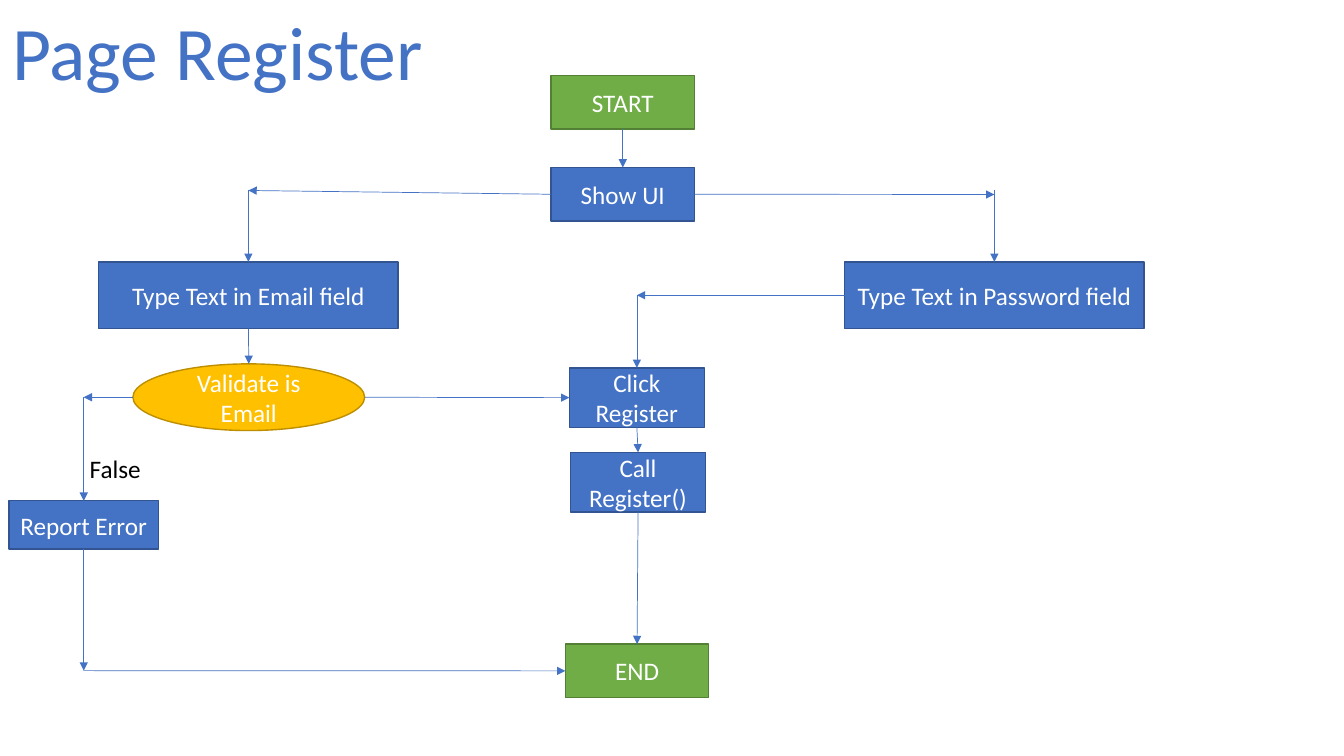
from dataclasses import dataclass
from enum import IntEnum
from typing import NamedTuple

from pptx import Presentation, util as u
from pptx.dml import color
from pptx.enum import shapes, text
from pptx.oxml import ns
from lxml import etree


@dataclass(frozen=True)
class Theme:
    font: str = "Calibri"
    title_size: float = 54
    body_size: float = 18
    border: float = 1
    arrow: float = 0.5
    accent: str = "4472C4"
    white: str = "FFFFFF"
    black: str = "000000"
    step: tuple = ("4472C4", "325491")
    terminal: tuple = ("70AD47", "538035")
    check: tuple = ("FFC000", "BD8E00")


class Side(IntEnum):
    TOP = 0
    LEFT = 1
    BOTTOM = 2
    RIGHT = 3


class Joint(NamedTuple):
    node: object
    side: Side


def rgb(value):
    return color.RGBColor.from_string(value)


def write(frame, words, *, font, size, ink, align=text.PP_ALIGN.CENTER,
          anchor=text.MSO_ANCHOR.MIDDLE, wrap=True, fit=text.MSO_AUTO_SIZE.NONE):
    frame.word_wrap = wrap
    frame.auto_size = fit
    frame.vertical_anchor = anchor
    paragraph = frame.paragraphs[0]
    paragraph.alignment = align
    run = paragraph.add_run()
    run.text = words
    run.font.name = font
    run.font.size = u.Pt(size)
    run.font.color.rgb = rgb(ink)


class FlowSlide:
    def __init__(self, deck, theme):
        self.theme = theme
        self.slide = deck.slides.add_slide(deck.slide_layouts[5])

    def title(self, words, box):
        heading = self.slide.shapes.title
        heading.left, heading.top, heading.width, heading.height = map(u.Cm, box)
        write(heading.text_frame, words, font=self.theme.font,
              size=self.theme.title_size, ink=self.theme.accent, wrap=False,
              anchor=text.MSO_ANCHOR.TOP)

    def node(self, words, box, colours, kind=shapes.MSO_SHAPE.RECTANGLE):
        node = self.slide.shapes.add_shape(kind, *map(u.Cm, box))
        fill, border = colours
        node.shadow.inherit = False
        node.fill.solid()
        node.fill.fore_color.rgb = rgb(fill)
        node.line.color.rgb = rgb(border)
        node.line.width = u.Pt(self.theme.border)
        write(node.text_frame, words, font=self.theme.font,
              size=self.theme.body_size, ink=self.theme.white)
        return node

    def label(self, words, box):
        label = self.slide.shapes.add_textbox(*map(u.Cm, box))
        write(label.text_frame, words, font=self.theme.font,
              size=self.theme.body_size, ink=self.theme.black, wrap=False,
              align=text.PP_ALIGN.LEFT, anchor=text.MSO_ANCHOR.TOP,
              fit=text.MSO_AUTO_SIZE.SHAPE_TO_FIT_TEXT)

    def arrow(self, start, end):
        points = [(0, 0) if isinstance(tip, Joint) else tip for tip in (start, end)]
        arrow = self.slide.shapes.add_connector(
            shapes.MSO_CONNECTOR.STRAIGHT,
            *(u.Cm(length) for point in points for length in point))
        if isinstance(start, Joint):
            arrow.begin_connect(*start)
        if isinstance(end, Joint):
            arrow.end_connect(*end)
        arrow.line.color.rgb = rgb(self.theme.accent)
        arrow.line.width = u.Pt(self.theme.arrow)
        properties = arrow.element.spPr
        outline = properties.find(ns.qn("a:ln"))
        etree.SubElement(outline, ns.qn("a:tailEnd"), type="triangle")
        etree.SubElement(properties, ns.qn("a:effectLst"))


def main():
    deck = Presentation()
    deck.slide_width, deck.slide_height = u.Cm(33.87), u.Cm(19.05)
    theme = Theme()
    flow = FlowSlide(deck, theme)

    flow.title("Page Register", (0, 0, 10.97, 2.57))
    start = flow.node("START", (13.89, 1.9, 3.61, 1.35), theme.terminal)
    show_ui = flow.node("Show UI", (13.89, 4.22, 3.61, 1.35), theme.step)
    end = flow.node("END", (14.25, 16.23, 3.61, 1.35), theme.terminal)
    email = flow.node("Type Text in Email field", (2.49, 6.6, 7.54, 1.68), theme.step)
    password = flow.node("Type Text in Password field", (21.29, 6.6, 7.54, 1.68), theme.step)
    validate = flow.node("Validate is Email", (3.35, 9.17, 5.84, 1.68), theme.check,
                         shapes.MSO_SHAPE.OVAL)
    report = flow.node("Report Error", (0.23, 12.62, 3.76, 1.22), theme.step)
    call = flow.node("Call Register()", (14.38, 11.4, 3.4, 1.5), theme.step)
    click = flow.node("Click Register", (14.35, 9.27, 3.4, 1.5), theme.step)
    flow.label("False", (2.01, 11.3, 1.8, 1.02))

    email_x, password_x, click_x, report_x = 6.26, 25.06, 16.05, 2.11
    branch_y, show_y, password_y, validate_y, end_y = 4.8, 4.9, 7.44, 10.01, 16.9

    for tips in (
        (Joint(start, Side.BOTTOM), Joint(show_ui, Side.TOP)),
        (Joint(show_ui, Side.LEFT), (email_x, branch_y)),
        ((email_x, branch_y), Joint(email, Side.TOP)),
        (Joint(show_ui, Side.RIGHT), (password_x, show_y)),
        ((password_x, branch_y), Joint(password, Side.TOP)),
        (Joint(email, Side.BOTTOM), Joint(validate, Side.TOP)),
        ((3.35, validate_y), (report_x, validate_y)),
        ((report_x, validate_y), Joint(report, Side.TOP)),
        ((9.19, validate_y), Joint(click, Side.LEFT)),
        (Joint(click, Side.BOTTOM), Joint(call, Side.TOP)),
        (Joint(password, Side.LEFT), (click_x, password_y)),
        ((click_x, password_y), Joint(click, Side.TOP)),
        (Joint(call, Side.BOTTOM), Joint(end, Side.TOP)),
        (Joint(report, Side.BOTTOM), (report_x, end_y)),
        ((report_x, end_y), Joint(end, Side.LEFT)),
    ):
        flow.arrow(*tips)

    deck.save("out.pptx")


if __name__ == "__main__":
    main()
